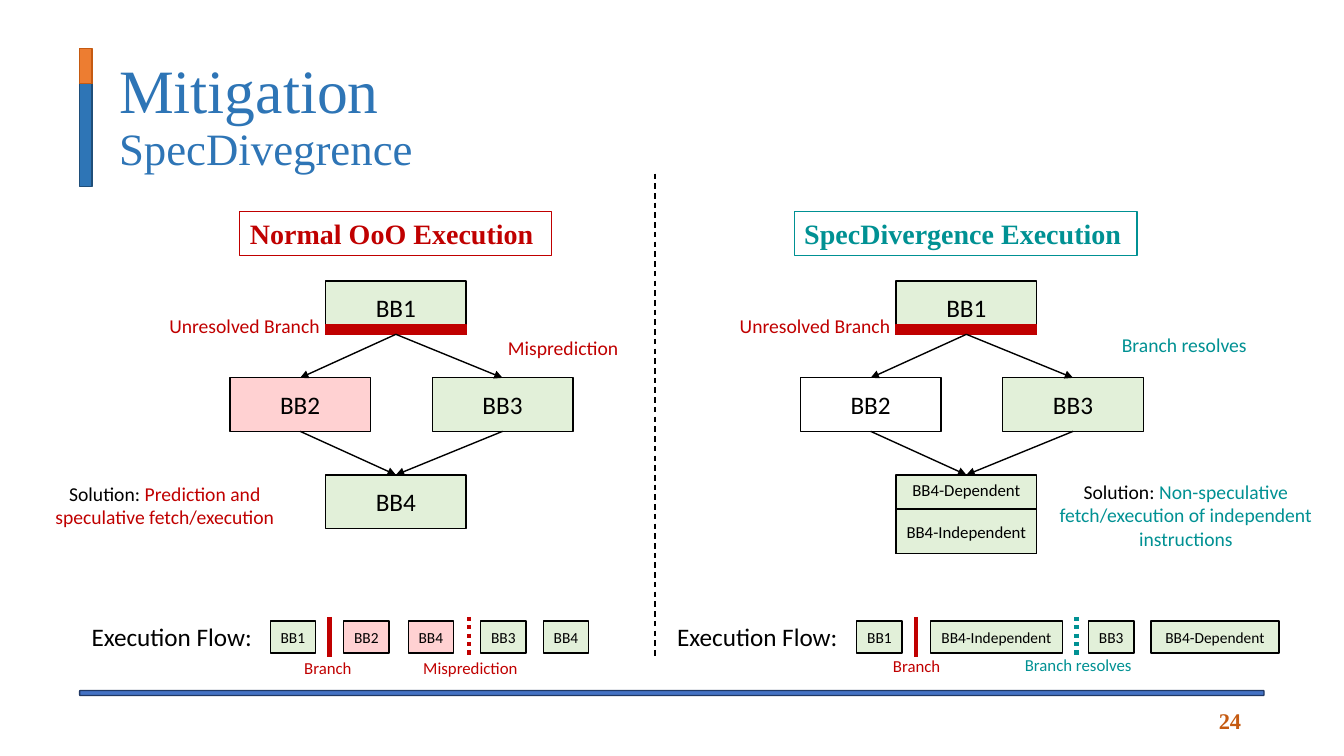
"""Build the SpecDivergence mitigation slide."""
from lxml import etree
from pptx import Presentation
from pptx.dml.color import RGBColor
from pptx.enum.dml import MSO_LINE
from pptx.enum.shapes import MSO_CONNECTOR, MSO_SHAPE
from pptx.enum.text import MSO_ANCHOR, MSO_AUTO_SIZE, PP_ALIGN
from pptx.oxml.ns import qn
from pptx.util import Pt

RECT, ROUND = MSO_SHAPE.RECTANGLE, MSO_SHAPE.ROUNDED_RECTANGLE
STRAIGHT = MSO_CONNECTOR.STRAIGHT
DASH, DOTS = MSO_LINE.DASH, MSO_LINE.ROUND_DOT
TOP, MIDDLE = MSO_ANCHOR.TOP, MSO_ANCHOR.MIDDLE
LEFT, CENTER, RIGHT = PP_ALIGN.LEFT, PP_ALIGN.CENTER, PP_ALIGN.RIGHT
NO_FIT = MSO_AUTO_SIZE.NONE
SERIF, SANS = "Times New Roman", "Calibri"
BLACK, WHITE, RED, TEAL = "000000", "FFFFFF", "C00000", "009193"
GREEN, PINK, BLUE, RUST = "E2F0D9", "FFD1D2", "2E75B6", "C55A11"
NODE_WIDTH, NODE_HEIGHT, NODE_TOP, ROW_STEP = 100.4, 38.2, 200.6, 69.3
FLOW_TOP, FLOW_HEIGHT, SMALL = 443.5, 23, 32.4


def color(value):
    return RGBColor.from_string(value)


def style(para, size, font=SANS, tint=BLACK, bold=False, align=LEFT):
    para.alignment = align
    para.font.size = Pt(size)
    para.font.name = font
    para.font.bold = bold
    para.font.color.rgb = color(tint)


def add_box(page, at, fill, line=BLACK, text="", size=18, anchor=MIDDLE, kind=RECT):
    box = page.shapes.add_shape(kind, *map(Pt, at))
    box.shadow.inherit = False
    box.fill.solid()
    box.fill.fore_color.rgb = color(fill)
    box.line.color.rgb = color(line)
    box.line.width = Pt(1)
    if text:
        frame = box.text_frame
        frame.word_wrap = False
        frame.vertical_anchor = anchor
        para = frame.paragraphs[0]
        para.text = text
        style(para, size, align=CENTER)
    return box


def add_label(page, at, text, size, tint=BLACK, wrap=False, anchor=TOP, **look):
    label = page.shapes.add_textbox(*map(Pt, at))
    frame = label.text_frame
    frame.word_wrap = wrap
    frame.vertical_anchor = anchor
    para = frame.paragraphs[0]
    para.text = text
    style(para, size, tint=tint, **look)
    return label


def add_heading(page, left, width, text, tint):
    heading = add_label(page, (left, 151.2, width, 31.5), text, 20, tint,
                        wrap=True, font=SERIF, bold=True)
    heading.line.color.rgb = color(tint)
    heading.line.width = Pt(0.75)


def add_solution(page, at, text, tint):
    label = add_label(page, at, "Solution: ", 14, wrap=True, align=CENTER)
    span = label.text_frame.paragraphs[0].add_run()
    span.text = text
    span.font.color.rgb = color(tint)


def add_line(page, start, end, tint=BLACK, width=1, dash=None):
    line = page.shapes.add_connector(STRAIGHT, *map(Pt, (*start, *end)))
    line.line.color.rgb = color(tint)
    line.line.width = Pt(width)
    if dash:
        line.line.dash_style = dash
    etree.SubElement(line._element.spPr, qn("a:effectLst"))
    return line


def add_arrow(page, source, target):
    arrow = add_line(page, (0, 0), (0, 0))
    arrow.begin_connect(source, 2)
    arrow.end_connect(target, 0)
    etree.SubElement(arrow.line._get_or_add_ln(), qn("a:tailEnd"), type="triangle")


def add_graph(page, left, second_fill, split_last):
    """Draw the four basic blocks, with the last one split in two if asked."""
    def node(offset, row, text, fill=GREEN):
        at = (left + offset, NODE_TOP + row * ROW_STEP, NODE_WIDTH, NODE_HEIGHT)
        return add_box(page, at, fill, text=text)

    first = node(0, 0, "BB1")
    second = node(-68.4, 1, "BB2", second_fill)
    third = node(76.2, 1, "BB3")
    if split_last:
        last = add_box(page, (left, 339.2, NODE_WIDTH, 56.2), GREEN,
                       text="BB4-Dependent", size=12, anchor=TOP)
        add_box(page, (left, 363.7, NODE_WIDTH, 31.7), GREEN,
                text="BB4-Independent", size=12)
    else:
        last = node(0, 2, "BB4")
    add_box(page, (left, 232, NODE_WIDTH, 6.8), RED, RED)
    for branch in (second, third):
        add_arrow(page, first, branch)
        add_arrow(page, branch, last)
    add_label(page, (left - 118.8, 220.7, 123, 24.2), "Unresolved Branch", 14, RED)


def add_flow(page, left, steps, markers):
    """Draw the execution flow: its title, steps and event markers."""
    add_label(page, (left, 440.6, 134.6, 29), "Execution Flow:", 18)
    for step_left, width, text, fill in steps:
        add_box(page, (step_left, FLOW_TOP, width, FLOW_HEIGHT), fill, text=text, size=11)
    for x, tint, dash, text, at in markers:
        add_line(page, (x, 440.6), (x, 469.4), tint, 3, dash)
        add_label(page, at, text, 12, tint)


def add_title(page):
    title = page.shapes.title
    title.left, title.top, title.width, title.height = map(Pt, (77.8, 34.6, 816.5, 98.6))
    frame = title.text_frame
    frame.auto_size = NO_FIT
    frame.vertical_anchor = MIDDLE
    para = frame.paragraphs[0]
    para.line_spacing = 0.9
    style(para, 44, SERIF, BLUE)
    para.add_run().text = "Mitigation"
    para.add_line_break()
    span = para.add_run()
    span.text = "SpecDivegrence"
    span.font.size = Pt(32)


def main():
    deck = Presentation()
    deck.slide_width, deck.slide_height = Pt(960), Pt(540)
    page = deck.slides.add_slide(deck.slide_layouts[5])

    add_box(page, (56.9, 493.2, 846, 3.6), "4472C4", "203864", kind=ROUND)
    add_box(page, (56.9, 59.8, 9, 73.4), BLUE, "1F4E79")
    add_box(page, (56.9, 34.6, 9, 25.2), "ED7D31", RUST)
    add_title(page)
    add_label(page, (758.2, 500.4, 135.4, 28.8), "24", 16, RUST, wrap=True,
              anchor=MIDDLE, font=SERIF, bold=True, align=RIGHT)
    add_line(page, (468, 124), (468, 470), dash=DASH)

    add_heading(page, 171.4, 222.5, "Normal OoO Execution", RED)
    add_graph(page, 232.6, PINK, False)
    add_label(page, (355.7, 236.2, 94.3, 24.2), "Misprediction", 14, RED)
    add_solution(page, (28.1, 340.6, 179.3, 41),
                 "Prediction and speculative fetch/execution", RED)
    add_flow(page, 58.3, [
        (193, SMALL, "BB1", GREEN),
        (245.5, SMALL, "BB2", PINK),
        (291.6, SMALL, "BB4", PINK),
        (343.4, SMALL, "BB3", GREEN),
        (388.1, SMALL, "BB4", GREEN),
    ], [
        (235.4, RED, None, "Branch", (210.2, 466.6, 49, 21.6)),
        (334.8, RED, DOTS, "Misprediction", (295.2, 466.6, 82.8, 21.6)),
    ])

    add_heading(page, 567.4, 244.8, "SpecDivergence Execution", TEAL)
    add_graph(page, 640.1, WHITE, True)
    add_label(page, (794.2, 234, 104.4, 24.2), "Branch resolves", 14, TEAL)
    add_solution(page, (749.5, 339.1, 195.1, 58.3),
                 "Non-speculative fetch/execution of independent instructions", TEAL)
    add_flow(page, 476.6, [
        (612, SMALL, "BB1", GREEN),
        (664.6, 94.3, "BB4-Independent", GREEN),
        (777.6, SMALL, "BB3", GREEN),
        (822.2, 91.4, "BB4-Dependent", GREEN),
    ], [
        (654.5, RED, None, "Branch", (630.7, 465.1, 49, 21.6)),
        (769, TEAL, DOTS, "Branch resolves", (725, 464.4, 91.4, 21.6)),
    ])
    deck.save("out.pptx")


if __name__ == "__main__":
    main()
